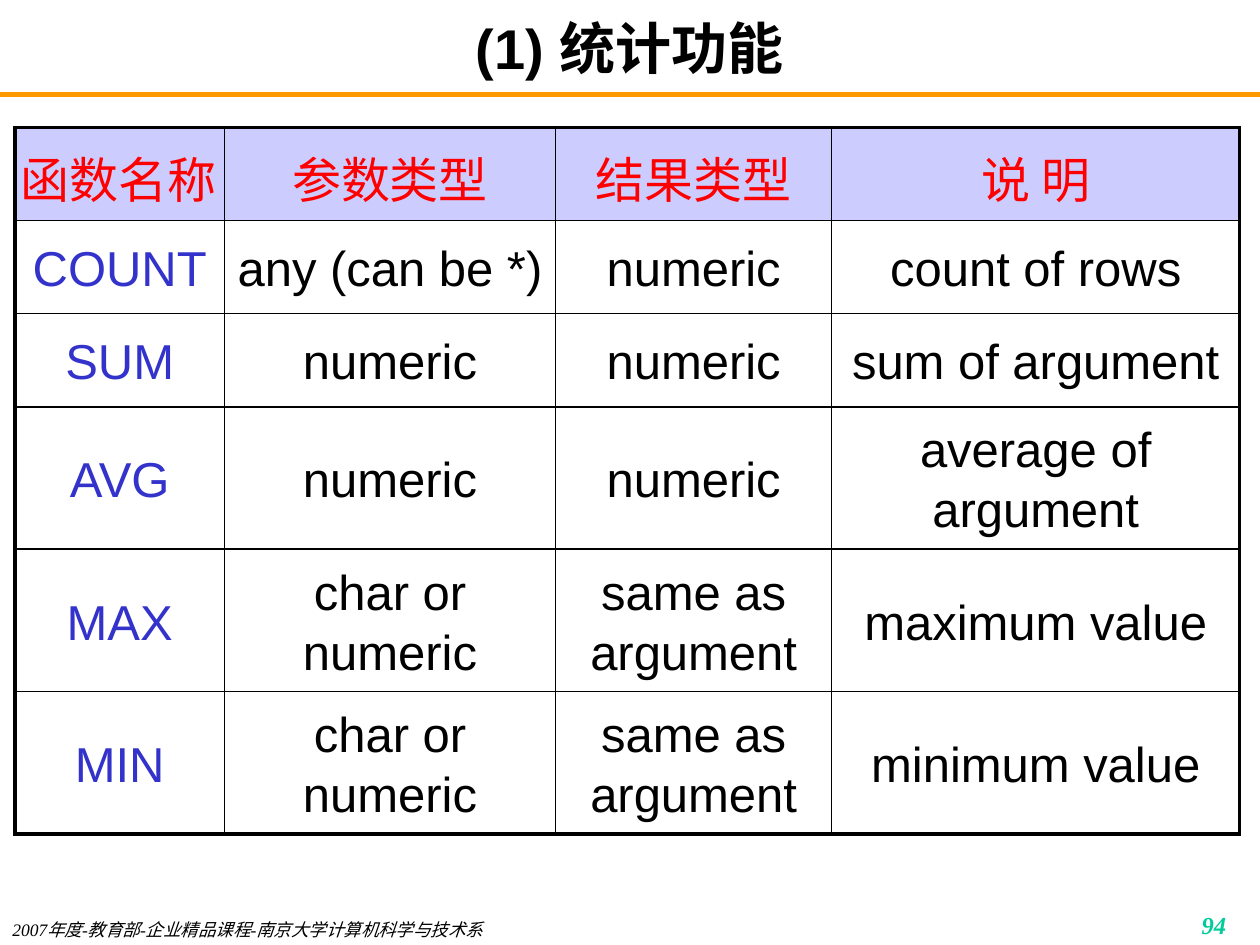
from dataclasses import dataclass

import pptx
import pptx.dml.color
import pptx.enum.shapes
import pptx.enum.text
import pptx.oxml
import pptx.oxml.ns
import pptx.util

ALIGN = pptx.enum.text.PP_ALIGN
ANCHOR = pptx.enum.text.MSO_ANCHOR
SLIDE_COLS, SLIDE_ROWS = 100, 75  # square grid, ten units to the inch


@dataclass(frozen=True)
class Theme:
    sans: str = "Arial"
    serif: str = "Times New Roman"
    black: str = "000000"
    rule: str = "FF9900"
    page: str = "00CC99"
    header_fill: str = "CCCCFF"
    header_text: str = "FF0000"
    function_name: str = "3333CC"
    title_size: float = 32
    table_size: float = 28
    page_size: float = 14
    footer_size: float = 10
    rule_width: float = 3
    outer_border: float = 2.25
    inner_border: float = 1


@dataclass(frozen=True)
class Style:
    size: float
    color: str
    font: str
    bold: bool = False
    italic: bool = False
    align: ALIGN = ALIGN.LEFT


@dataclass(frozen=True)
class Label:
    text: str
    box: tuple[float, float, float, float]
    style: Style
    anchor: ANCHOR = ANCHOR.TOP
    margin_y: float = 0.5


T = Theme()

LABELS = [
    Label("2007年度-教育部-企业精品课程-南京大学计算机科学与技术系", (0, 72.9, 62.6, 2.1),
          Style(T.footer_size, T.black, T.serif, italic=True), margin_y=0),
    Label("94", (77.5, 71.7, 20.8, 2.5),
          Style(T.page_size, T.page, T.serif, True, True, ALIGN.RIGHT)),
    Label("(1) 统计功能", (7.5, 0.8, 85, 5.8),
          Style(T.title_size, T.black, T.sans, True, align=ALIGN.CENTER), ANCHOR.MIDDLE),
]

TABLE_LEFT, TABLE_TOP = 1.2, 10.1
COL_WIDTHS = [16.6, 26.3, 21.9, 32.4]
ROW_HEIGHTS = [7.4] * 3 + [11.3] * 3
FUNCTIONS = [
    ("函数名称", "参数类型", "结果类型", "说\u2002明".replace("\u2002", " ")),
    ("COUNT", "any (can be *)", "numeric", "count of rows"),
    ("SUM", "numeric", "numeric", "sum of argument"),
    ("AVG", "numeric", "numeric", "average of argument"),
    ("MAX", "char or numeric", "same as argument", "maximum value"),
    ("MIN", "char or numeric", "same as argument", "minimum value"),
]


def grid(units: float) -> pptx.util.Emu:
    return pptx.util.Inches(units / 10)


def rgb(color: str) -> pptx.dml.color.RGBColor:
    return pptx.dml.color.RGBColor.from_string(color)


def write(tf, text: str, style: Style) -> None:
    tf.text = text
    p = tf.paragraphs[0]
    p.alignment = style.align
    font = p.runs[0].font
    font.size, font.name = pptx.util.Pt(style.size), style.font
    font.bold, font.italic = style.bold, style.italic
    font.color.rgb = rgb(style.color)


def add_label(s, label: Label) -> None:
    tf = s.shapes.add_textbox(*map(grid, label.box)).text_frame
    tf.word_wrap = True
    tf.vertical_anchor = label.anchor
    tf.margin_top = tf.margin_bottom = grid(label.margin_y)
    write(tf, label.text, label.style)


def add_rule(s, y: float) -> None:
    line = s.shapes.add_connector(pptx.enum.shapes.MSO_CONNECTOR.STRAIGHT,
                                  0, grid(y), grid(SLIDE_COLS), grid(y))
    line.line.color.rgb = rgb(T.rule)
    line.line.width = pptx.util.Pt(T.rule_width)
    pptx.oxml.ns.qn("a:effectLst")
    line._element.spPr.append(pptx.oxml.parse_xml(
        f'<a:effectLst {pptx.oxml.ns.nsdecls("a")}/>'))


def set_borders(cell, row: int, col: int) -> None:
    """Draw thick lines on the table's outer edge and thin ones inside."""
    outer = {"L": col == 0, "R": col == len(COL_WIDTHS) - 1,
             "T": row == 0, "B": row == len(ROW_HEIGHTS) - 1}
    for side, is_outer in outer.items():
        width = pptx.util.Pt(T.outer_border if is_outer else T.inner_border)
        cell._tc.get_or_add_tcPr().append(pptx.oxml.parse_xml(
            f'<a:ln{side} {pptx.oxml.ns.nsdecls("a")} w="{int(width)}"><a:solidFill>'
            f'<a:srgbClr val="{T.black}"/></a:solidFill></a:ln{side}>'))


def fill_cell(cell, text: str, row: int, col: int) -> None:
    is_header = row == 0
    color = T.header_text if is_header else T.function_name if col == 0 else T.black
    write(cell.text_frame, text, Style(T.table_size, color, T.sans, align=ALIGN.CENTER))
    cell.text_frame.paragraphs[0].line_spacing = 1.1
    cell.vertical_anchor = ANCHOR.MIDDLE
    if is_header and col == 0:
        cell.margin_left, cell.margin_right = 0, grid(0.2)
    set_borders(cell, row, col)
    if is_header:
        cell.fill.solid()
        cell.fill.fore_color.rgb = rgb(T.header_fill)
    else:
        cell.fill.background()


def add_function_table(s) -> None:
    table = s.shapes.add_table(
        len(ROW_HEIGHTS), len(COL_WIDTHS), grid(TABLE_LEFT), grid(TABLE_TOP),
        grid(sum(COL_WIDTHS)), grid(sum(ROW_HEIGHTS))).table
    table.first_row = table.horz_banding = False
    for column, width in zip(table.columns, COL_WIDTHS):
        column.width = grid(width)
    for row, height in zip(table.rows, ROW_HEIGHTS):
        row.height = grid(height)
    for row, texts in enumerate(FUNCTIONS):
        for col, text in enumerate(texts):
            fill_cell(table.cell(row, col), text, row, col)


def main() -> None:
    prs = pptx.Presentation()
    prs.slide_width, prs.slide_height = grid(SLIDE_COLS), grid(SLIDE_ROWS)
    s = prs.slides.add_slide(prs.slide_layouts[6])
    add_rule(s, 7.5)
    for label in LABELS:
        add_label(s, label)
    add_function_table(s)
    prs.save("out.pptx")


if __name__ == "__main__":
    main()
